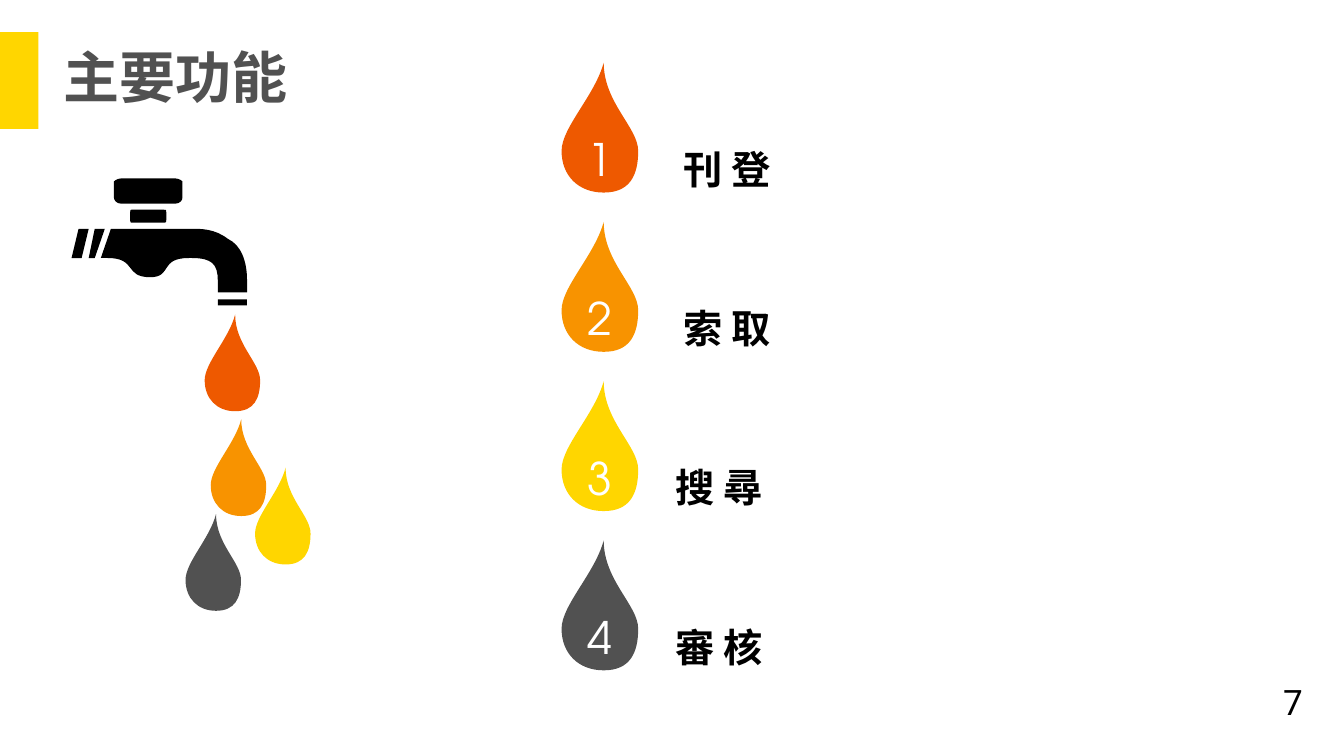
from dataclasses import dataclass

from lxml.etree import SubElement
from pptx import Presentation
from pptx.dml.color import RGBColor
from pptx.enum.shapes import MSO_SHAPE as Preset
from pptx.enum.text import MSO_ANCHOR as Anchor, MSO_AUTO_SIZE as AutoSize, PP_ALIGN as Align
from pptx.oxml.ns import qn
from pptx.util import Cm, Pt

CJK_FONT = "Noto Sans CJK SC"
NUMBER_FONT = "TeX Gyre Adventor"
BLACK, WHITE, GRAY = "000000", "FFFFFF", "515151"
RED, ORANGE, YELLOW = "EE5900", "F89300", "FFD600"

Point = tuple[float, float]
Segment = tuple[Point, ...]  # one point: line; three points: Bezier curve


@dataclass
class Outline:
    start: Point
    segments: list[Segment]


@dataclass
class Drop:
    left: float
    top: float
    color: str


@dataclass
class Feature:
    label: str
    label_left: float
    color: str


# Drop outline in fractions of its width and height
DROP = Outline((0, 0.68), [
    ((0, 0.87), (0.22, 1), (0.55, 1)),
    ((0.89, 1), (1, 0.87), (1, 0.68)),
    ((1, 0.5), (0.55, 0.31), (0.55, 0)),
    ((0.44, 0.25), (0, 0.5), (0, 0.68)),
])

# Faucet outlines in inches on the slide: handle, neck, two stripes, pipe, belly
FAUCET = [
    Outline((1.81, 1.96), [
        ((1.81, 1.99), (1.78, 2.02), (1.74, 2.02)), ((1.2, 2.02),),
        ((1.16, 2.02), (1.13, 1.99), (1.13, 1.96)), ((1.13, 1.8),),
        ((1.13, 1.8), (1.16, 1.77), (1.2, 1.77)), ((1.74, 1.77),),
        ((1.78, 1.77), (1.81, 1.8), (1.81, 1.8)),
    ]),
    Outline((1.65, 2.18), [
        ((1.65, 2.21), (1.65, 2.21), (1.62, 2.21)), ((1.33, 2.21),),
        ((1.29, 2.21), (1.29, 2.21), (1.29, 2.18)), ((1.29, 2.11),),
        ((1.29, 2.08), (1.29, 2.08), (1.33, 2.08)), ((1.62, 2.08),),
        ((1.65, 2.08), (1.65, 2.08), (1.65, 2.11)),
    ]),
    Outline((1.04, 2.27), [((0.94, 2.27),), ((0.88, 2.56),), ((0.94, 2.56),)]),
    Outline((0.88, 2.27), [((0.78, 2.27),), ((0.71, 2.56),), ((0.81, 2.56),)]),
    Outline((2.26, 2.37), [
        ((2.13, 2.27), (2, 2.27), (1.9, 2.27)),
        ((1.1, 2.27),), ((1, 2.56),), ((1.9, 2.56),),
        ((2.1, 2.56), (2.16, 2.62), (2.16, 2.78)),
        ((2.16, 2.9),), ((2.45, 2.9),), ((2.45, 2.78),),
        ((2.45, 2.59), (2.39, 2.43), (2.26, 2.37)),
    ]),
    Outline((1.87, 2.56), [
        ((1.58, 2.56), (1.71, 2.75), (1.49, 2.75)),
        ((1.23, 2.75), (1.36, 2.56), (1.07, 2.56)),
        ((0.94, 2.56), (1.23, 2.37), (1.49, 2.37)),
        ((1.71, 2.37), (2.03, 2.56), (1.87, 2.56)),
    ]),
]

FALLING_DROPS = [
    Drop(2.03, 3.12, RED), Drop(2.09, 4.16, ORANGE),
    Drop(1.84, 5.1, GRAY), Drop(2.53, 4.64, YELLOW),
]
FEATURES = [
    Feature("刊 登", 6.73, RED), Feature("索 取", 6.73, ORANGE),
    Feature("搜 尋", 6.65, YELLOW), Feature("審 核", 6.65, GRAY),
]
FEATURE_LEFT, FEATURE_TOP, FEATURE_STEP = 5.57, 0.62, 1.58


def length(inches: float) -> int:
    return Cm(inches * 2.54)


def color(value: str) -> RGBColor:
    return RGBColor.from_string(value)


def apply(target, values: dict) -> None:
    for name, value in values.items():
        setattr(target, name, value)


def paint(shape, fill: str) -> None:
    shape.shadow.inherit = False
    shape.fill.solid()
    shape.fill.fore_color.rgb = color(fill)
    shape.line.fill.background()


def add_block(shapes, place: Segment, fill: str) -> None:
    paint(shapes.add_shape(Preset.RECTANGLE, *map(length, place)), fill)


def add_outline(shapes, outline: Outline, fill: str, left: float = 0, top: float = 0,
                width: float = 1, height: float = 1) -> None:
    def place(point: Point) -> tuple[int, int]:
        return length(left + point[0] * width), length(top + point[1] * height)

    builder = shapes.build_freeform(*place(outline.start))
    builder.add_line_segments([place(segment[-1]) for segment in outline.segments], close=True)
    shape = builder.convert_to_shape()
    paint(shape, fill)

    # Bend the lines that stand for curves
    lines = list(shape._element.iter(qn("a:lnTo")))
    for line, segment in zip(lines, outline.segments):
        if len(segment) == 3:
            line.tag = qn("a:cubicBezTo")
            line.remove(line[0])
            for x, y in map(place, segment):
                apply_point = SubElement(line, qn("a:pt"))
                apply_point.set("x", str(x - shape.left))
                apply_point.set("y", str(y - shape.top))


def write(box, text: str, font: dict, fill: str, paragraph: dict, frame: dict,
          inset: float = 0.05) -> None:
    body = box.text_frame
    margins = dict.fromkeys(
        ("margin_left", "margin_top", "margin_right", "margin_bottom"), length(inset))
    apply(body, {"word_wrap": True, **margins, **frame})
    para = body.paragraphs[0]
    apply(para, paragraph)
    span = para.add_run()
    span.text = text
    apply(span.font, font)
    span.font.color.rgb = color(fill)
    SubElement(span.font._element, qn("a:ea")).set("typeface", font["name"])


def add_feature(page, index: int, feature: Feature) -> None:
    shapes = page.shapes.add_group_shape().shapes
    top = FEATURE_TOP + index * FEATURE_STEP
    grow = {"auto_size": AutoSize.SHAPE_TO_FIT_TEXT}
    label = shapes.add_textbox(*map(length, (feature.label_left, top + 0.63, 6.1, 0.66)))
    write(label, feature.label, {"name": CJK_FONT, "size": Pt(28), "bold": True}, BLACK,
          {"line_spacing": 1.3}, grow)
    add_outline(shapes, DROP, feature.color, FEATURE_LEFT, top, 0.76, 1.29)
    number = shapes.add_textbox(*map(length, (FEATURE_LEFT, top + 0.61, 0.76, 0.68)))
    write(number, str(index + 1), {"name": NUMBER_FONT, "size": Pt(32)}, WHITE,
          {"alignment": Align.CENTER}, {**grow, "vertical_anchor": Anchor.BOTTOM}, 0.07)


def main() -> None:
    deck = Presentation()
    apply(deck, {"slide_width": length(13.33), "slide_height": length(7.5)})
    page = deck.slides.add_slide(deck.slide_layouts[5])

    # Title with its yellow marker
    add_block(page.shapes, (0, 0.32, 0.38, 0.96), YELLOW)
    title = page.shapes.title
    apply(title, dict(zip(("left", "top", "width", "height"),
                          map(length, (0.58, 0.32, 4.99, 0.96)))))
    write(title, "主要功能", {"name": CJK_FONT, "size": Pt(40), "bold": True}, GRAY,
          {"alignment": Align.LEFT, "line_spacing": 0.9, "space_before": Pt(10)},
          {"vertical_anchor": Anchor.MIDDLE, "auto_size": AutoSize.NONE})

    # Faucet and falling drops
    faucet = page.shapes.add_group_shape().shapes
    add_block(faucet, (2.16, 2.97, 0.29, 0.06), BLACK)
    for outline in FAUCET:
        add_outline(faucet, outline, BLACK)
    for drop in FALLING_DROPS:
        add_outline(faucet, DROP, drop.color, drop.left, drop.top, 0.55, 0.96)

    # Numbered features
    for index, feature in enumerate(FEATURES):
        add_feature(page, index, feature)

    # Page number
    page_number = page.shapes.add_textbox(*map(length, (12.62, 6.69, 0.35, 0.53)))
    write(page_number, "7", {"name": "Roboto", "size": Pt(25)}, BLACK,
          {"alignment": Align.RIGHT},
          {"vertical_anchor": Anchor.MIDDLE, "auto_size": AutoSize.SHAPE_TO_FIT_TEXT})

    deck.save("out.pptx")


if __name__ == "__main__":
    main()
